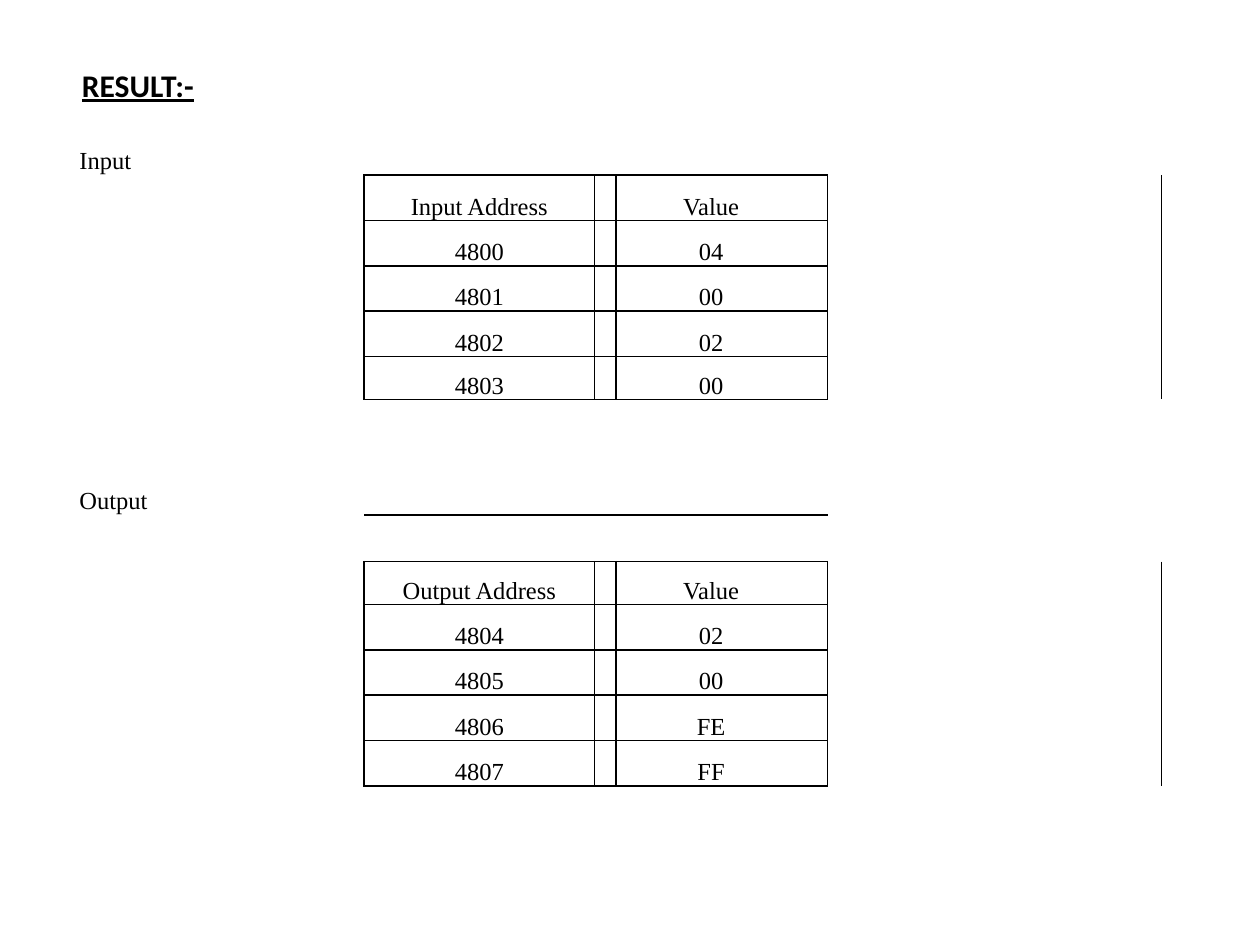
from dataclasses import dataclass

import lxml.etree
import pptx
import pptx.dml.color
import pptx.enum.text
import pptx.oxml.ns
import pptx.util

Inches = pptx.util.Inches
Pt = pptx.util.Pt
Align = pptx.enum.text.PP_ALIGN
Anchor = pptx.enum.text.MSO_ANCHOR
qn = pptx.oxml.ns.qn

BLACK = "000000"
PLAIN = "{2D5ABB26-0587-4C30-8999-92F81FD0307C}"
COLS = (1.14, 1.2, 0.32, 1.51, 0.17, 1.51, 0.17, 2.65)
ROWS = (0.61, 0.36, 0.36, 0.36, 0.36, 0.34, 0.92,
        0.37, 0.34, 0.36, 0.36, 0.36, 0.36)
EDGES = {1: "R", 2: "LRTB", 3: "RTB", 4: "LTB", 5: "TB", 6: "RTB", 7: "L"}
INNER = range(2, 7)


@dataclass
class Block:
    label: str
    mark: int
    top: int
    rows: tuple
    leads: tuple


BLOCKS = (
    Block("Input", 0, 1,
          (("Input Address", "Value"), ("4800", "04"), ("4801", "00"),
           ("4802", "02"), ("4803", "00")),
          (13, 13.1, 13, 13, 13)),
    Block("Output", 6, 8,
          (("Output Address", "Value"), ("4804", "02"), ("4805", "00"),
           ("4806", "FE"), ("4807", "FF")),
          (12.8, 13.1, 13.1, 13, 13)),
)


def paint(font, code: str) -> None:
    font.color.rgb = pptx.dml.color.RGBColor.from_string(code)


def apply(item, form: dict) -> None:
    for name, value in form.items():
        setattr(item, name, value)


def edge(cell, sides: str) -> None:
    props = cell._tc.get_or_add_tcPr()
    for side in sides:
        line = lxml.etree.SubElement(props, qn("a:ln" + side), w=str(Pt(1)))
        fill = lxml.etree.SubElement(line, qn("a:solidFill"))
        lxml.etree.SubElement(fill, qn("a:srgbClr"), val=BLACK)


def write(cell, text: str, form: dict) -> None:
    para = cell.text_frame.paragraphs[0]
    apply(para, form)
    run = para.add_run()
    run.text = text
    apply(run.font, {"size": Pt(14), "name": "Times New Roman"})
    paint(run.font, BLACK)


def draw(table, block: Block) -> None:
    label = table.cell(block.mark, 0)
    write(label, block.label, {"line_spacing": 1.15})
    label.text_frame.paragraphs[0]._p.get_or_add_pPr().set(
        "marL", str(Inches(0.08)))
    for col in INNER:
        edge(table.cell(block.top - 1, col), "B")
    for row, (pair, lead) in enumerate(zip(block.rows, block.leads), block.top):
        for col, sides in EDGES.items():
            edge(table.cell(row, col), sides)
        table.cell(row, 2).merge(table.cell(row, 3))
        for col, text in zip((2, 5), pair):
            write(table.cell(row, col), text,
                  {"alignment": Align.CENTER, "line_spacing": Pt(lead)})


def grid(slide) -> None:
    frame = slide.shapes.add_table(
        len(ROWS), len(COLS), Inches(0.55), Inches(0.78),
        Inches(sum(COLS)), Inches(sum(ROWS)))
    table = frame.table
    apply(table, {"first_row": False, "horz_banding": False})
    table._tbl.tblPr.find(qn("a:tableStyleId")).text = PLAIN
    for col, width in zip(table.columns, COLS):
        col.width = Inches(width)
    for row, height in zip(table.rows, ROWS):
        row.height = Inches(height)
    for block in BLOCKS:
        draw(table, block)
    for col in INNER:
        edge(table.cell(6, col), "T")
    table.cell(7, 2).merge(table.cell(7, 4))
    form = {"margin_left": 0, "margin_right": 0, "margin_top": 0,
            "margin_bottom": 0, "vertical_anchor": Anchor.BOTTOM}
    for cell in table.iter_cells():
        apply(cell, form)
        cell.fill.background()


def head(slide) -> None:
    title = slide.shapes.title
    apply(title, {"left": Inches(0.55), "top": Inches(0.47),
                  "width": Inches(1.1), "height": Inches(0.4)})
    apply(title.text_frame, {
        "text": "RESULT:-", "word_wrap": False,
        "vertical_anchor": Anchor.TOP,
        "auto_size": pptx.enum.text.MSO_AUTO_SIZE.SHAPE_TO_FIT_TEXT})
    para = title.text_frame.paragraphs[0]
    para.alignment = Align.LEFT
    font = para.runs[0].font
    apply(font, {"size": Pt(18), "name": "Calibri",
                 "bold": True, "underline": True})
    paint(font, BLACK)


def main() -> None:
    deck = pptx.Presentation()
    apply(deck, {"slide_width": Inches(10), "slide_height": Inches(7.5)})
    slide = deck.slides.add_slide(deck.slide_layouts[5])
    grid(slide)
    head(slide)
    deck.save("out.pptx")


if __name__ == "__main__":
    main()
